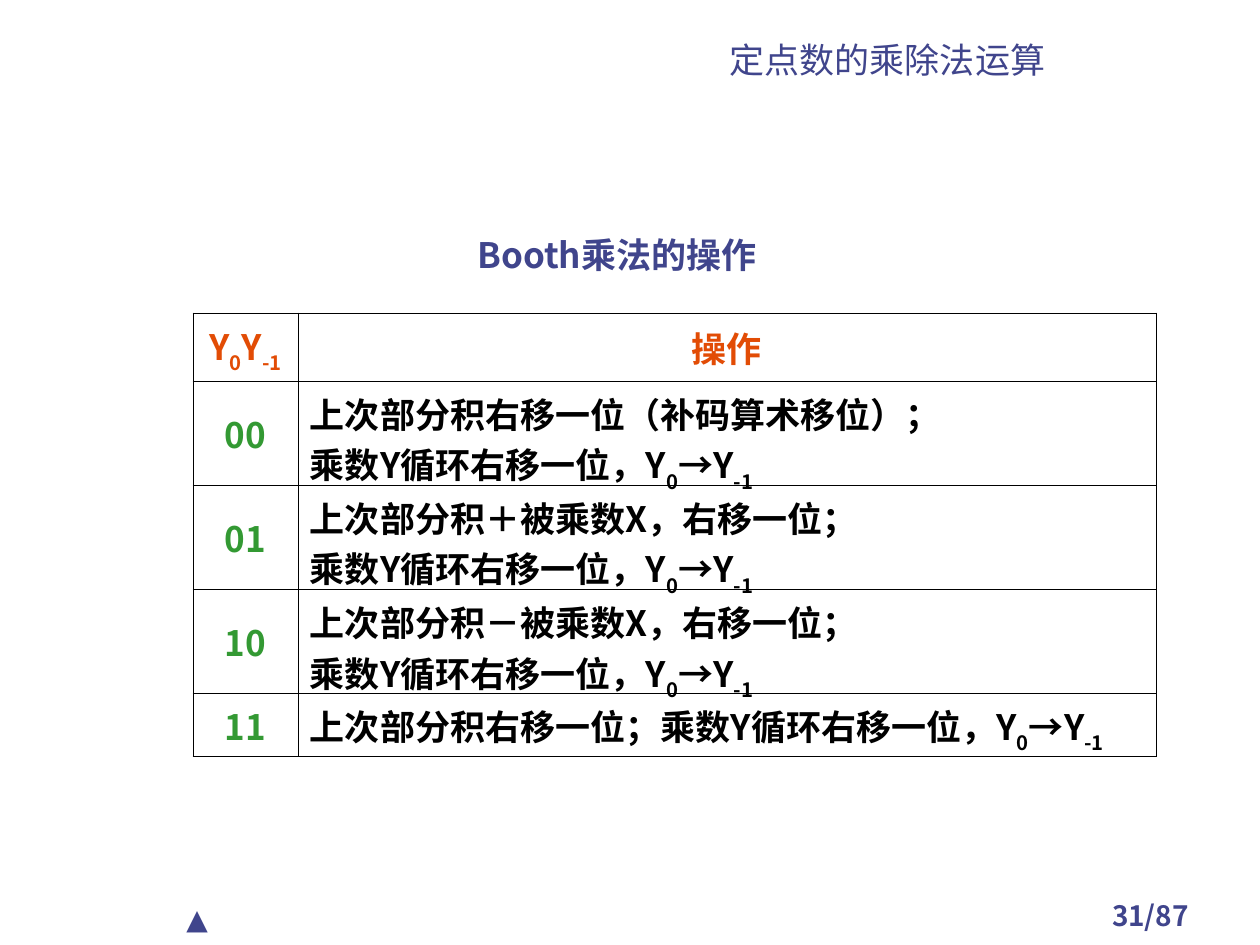
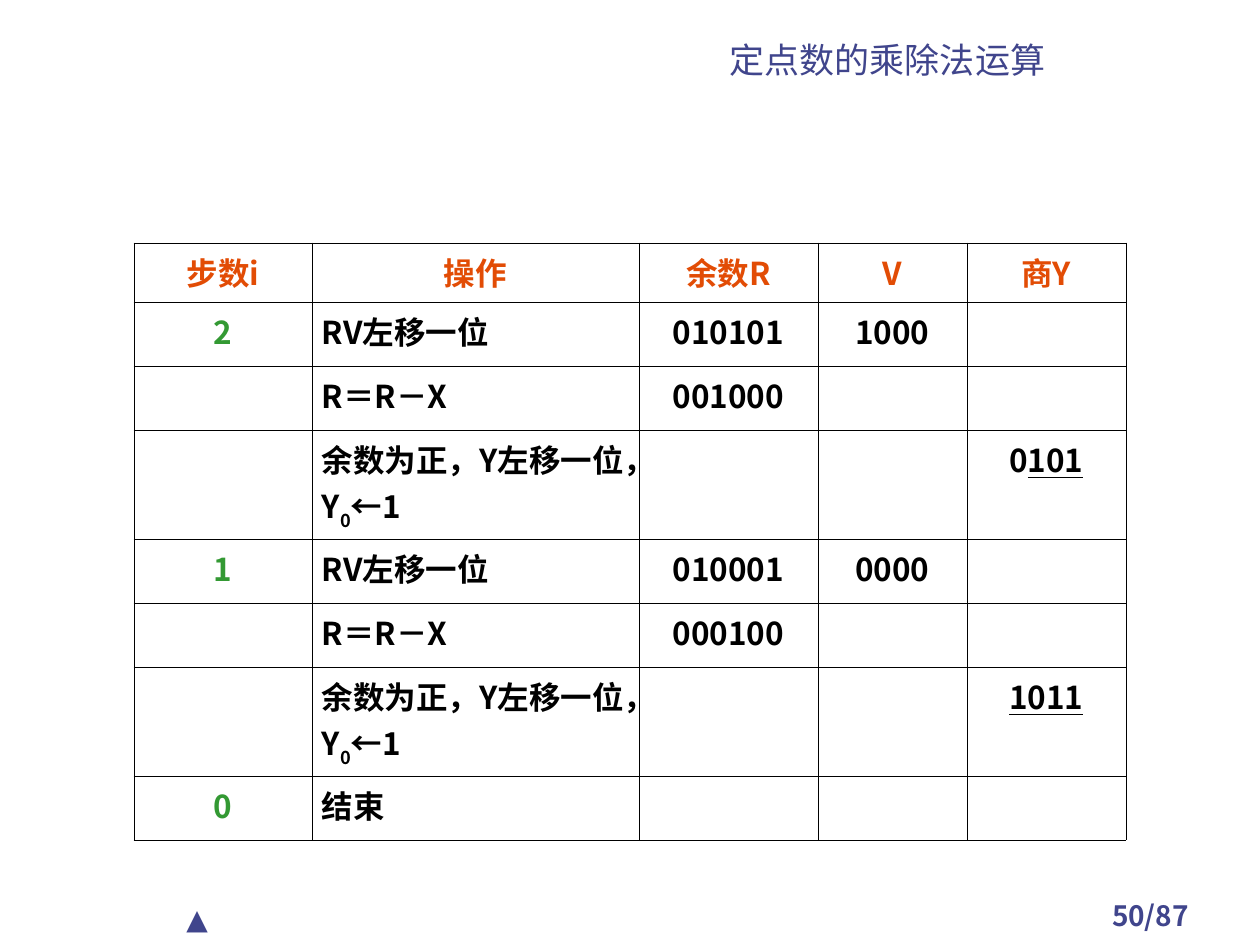
from dataclasses import dataclass
from typing import NamedTuple

from lxml.etree import SubElement
from pptx import Presentation
from pptx.dml.color import RGBColor
from pptx.enum.text import MSO_ANCHOR, MSO_AUTO_SIZE, PP_ALIGN
from pptx.oxml.ns import qn
from pptx.util import Pt

EMU_PER_PX = 914400 / 126


def px(length: int) -> int:
    return round(length * EMU_PER_PX)


@dataclass(frozen=True)
class Theme:
    indigo: RGBColor = RGBColor(0x40, 0x45, 0x8C)
    orange: RGBColor = RGBColor(0xE2, 0x4C, 0x05)
    green: RGBColor = RGBColor(0x33, 0x99, 0x33)
    black: RGBColor = RGBColor(0, 0, 0)
    cjk_font: str = "Noto Sans CJK SC"
    title_font: str = "Cabin"
    large: int = 20
    medium: int = 18
    small: int = 16
    border: float = 0.45


THEME = Theme()


class Style(NamedTuple):
    size: int
    color: RGBColor
    font: str = THEME.cjk_font
    bold: bool = True
    align: PP_ALIGN = PP_ALIGN.CENTER


class Box(NamedTuple):
    left: int
    top: int
    width: int
    height: int


class Span(NamedTuple):
    text: str
    subscript: bool = False
    underline: bool = False


Line = list[Span]
Cell = list[Line]


@dataclass(frozen=True)
class Grid:
    left: int
    top: int
    columns: list[int]
    rows: list[int]
    cells: list[list[Cell]]
    size: int
    side_margin: int
    anchor: MSO_ANCHOR


def cell(*lines: str | Line) -> Cell:
    """Turn plain strings into lines of one span."""
    return [[Span(line)] if isinstance(line, str) else line for line in lines]


def sub(text: str) -> Span:
    return Span(text, subscript=True)


# ---- Text ----

def format_paragraph(paragraph, style: Style) -> None:
    paragraph.alignment = style.align
    font = paragraph.font
    font.size, font.bold, font.name = Pt(style.size), style.bold, style.font
    font.color.rgb = style.color
    defaults = paragraph._p.pPr.find(qn("a:defRPr"))
    SubElement(defaults, qn("a:ea")).set("typeface", THEME.cjk_font)


def write_lines(frame, lines: Cell, style: Style) -> None:
    for index, line in enumerate(lines):
        paragraph = frame.add_paragraph() if index else frame.paragraphs[0]
        format_paragraph(paragraph, style)
        for span in line:
            run = paragraph.add_run()
            run.text = span.text
            if span.underline:
                run.font.underline = True
            if span.subscript:
                run.font._element.set("baseline", "-30000")


def place(shape, box: Box) -> None:
    shape.left, shape.top, shape.width, shape.height = map(px, box)


def add_label(slide, box: Box, text: str, style: Style) -> None:
    shape = slide.shapes.add_textbox(*map(px, box))
    shape.text_frame.word_wrap = True
    write_lines(shape.text_frame, cell(text), style)


# ---- Table ----

def draw_borders(table_cell) -> None:
    properties = table_cell._tc.get_or_add_tcPr()
    for side in ("lnL", "lnR", "lnT", "lnB"):
        line = SubElement(properties, qn(f"a:{side}"), w=str(Pt(THEME.border)))
        fill = SubElement(line, qn("a:solidFill"))
        SubElement(fill, qn("a:srgbClr"), val=str(THEME.black))


def cell_style(grid: Grid, row: int, column: int) -> Style:
    if row == 0:
        return Style(grid.size, THEME.orange)
    if column == 0:
        return Style(grid.size, THEME.green)
    align = PP_ALIGN.LEFT if column == 1 else PP_ALIGN.CENTER
    return Style(grid.size, THEME.black, align=align)


def add_grid(slide, grid: Grid) -> None:
    box = Box(grid.left, grid.top, sum(grid.columns), sum(grid.rows))
    table = slide.shapes.add_table(
        len(grid.rows), len(grid.columns), *map(px, box)).table
    table.first_row = table.horz_banding = False
    for column, width in zip(table.columns, grid.columns):
        column.width = px(width)
    for row, height in zip(table.rows, grid.rows):
        row.height = px(height)
    for row, contents in enumerate(grid.cells):
        for column, lines in enumerate(contents):
            table_cell = table.cell(row, column)
            table_cell.margin_left = table_cell.margin_right = px(grid.side_margin)
            table_cell.vertical_anchor = grid.anchor
            draw_borders(table_cell)
            table_cell.fill.background()
            write_lines(table_cell.text_frame, lines, cell_style(grid, row, column))


# ---- Parts shared by the slides ----

def add_lesson_slide(presentation, page: str):
    slide = presentation.slides.add_slide(presentation.slide_layouts[5])
    title = slide.shapes.title
    place(title, Box(536, 34, 703, 53))
    frame = title.text_frame
    frame.auto_size = MSO_AUTO_SIZE.NONE
    frame.vertical_anchor = MSO_ANCHOR.BOTTOM
    write_lines(frame, cell("定点数的乘除法运算"),
                Style(THEME.large, THEME.indigo, THEME.title_font, bold=False))
    add_label(slide, Box(1061, 892, 179, 42), page,
              Style(THEME.small, THEME.indigo))
    add_label(slide, Box(174, 895, 179, 47), "▲",
              Style(THEME.small, THEME.indigo, THEME.title_font, False, PP_ALIGN.LEFT))
    return slide


# ---- Booth multiplication ----

SHIFT_Y = [Span("乘数Y循环右移一位，Y"), sub("0"), Span("→Y"), sub("-1")]

BOOTH = Grid(
    left=193, top=313, columns=[105, 858], rows=[68, 104, 104, 104, 63],
    size=THEME.large, side_margin=12, anchor=MSO_ANCHOR.MIDDLE,
    cells=[
        [cell([Span("Y"), sub("0"), Span("Y"), sub("-1")]), cell("操作")],
        [cell("00"), cell("上次部分积右移一位（补码算术移位）；", SHIFT_Y)],
        [cell("01"), cell("上次部分积＋被乘数X，右移一位；", SHIFT_Y)],
        [cell("10"), cell("上次部分积－被乘数X，右移一位；", SHIFT_Y)],
        [cell("11"), cell([Span("上次部分积右移一位；"), *SHIFT_Y])],
    ])


# ---- Division steps ----

EMPTY = cell("")


def division_step(step: str, shifted: str, low: str, remainder: str,
                  quotient: Line) -> list[list[Cell]]:
    """Shift, subtract and set the quotient bit: three rows for each step."""
    set_bit = [Span("余数为正，Y左移一位，Y"), sub("0"), Span("←1")]
    return [
        [cell(step), cell("RV左移一位"), cell(shifted), cell(low), EMPTY],
        [EMPTY, cell("R＝R－X"), cell(remainder), EMPTY, EMPTY],
        [EMPTY, cell(set_bit), EMPTY, EMPTY, cell(quotient)],
    ]


DIVISION = Grid(
    left=134, top=243, columns=[178, 327, 179, 149, 159],
    rows=[59, *[64, 64, 109] * 2, 64],
    size=THEME.medium, side_margin=10, anchor=MSO_ANCHOR.TOP,
    cells=[
        [cell(name) for name in ("步数i", "操作", "余数R", "V", "商Y")],
        *division_step("2", "010101", "1000", "001000",
                       [Span("0"), Span("101", underline=True)]),
        *division_step("1", "010001", "0000", "000100",
                       [Span("1011", underline=True)]),
        [cell("0"), cell("结束"), EMPTY, EMPTY, EMPTY],
    ])


def main() -> None:
    presentation = Presentation()
    presentation.slide_width, presentation.slide_height = px(1260), px(945)

    booth = add_lesson_slide(presentation, "31/87")
    add_label(booth, Box(465, 227, 348, 64), "Booth乘法的操作",
              Style(THEME.large, THEME.indigo, align=PP_ALIGN.LEFT))
    add_grid(booth, BOOTH)

    add_grid(add_lesson_slide(presentation, "50/87"), DIVISION)
    presentation.save("out.pptx")


if __name__ == "__main__":
    main()
